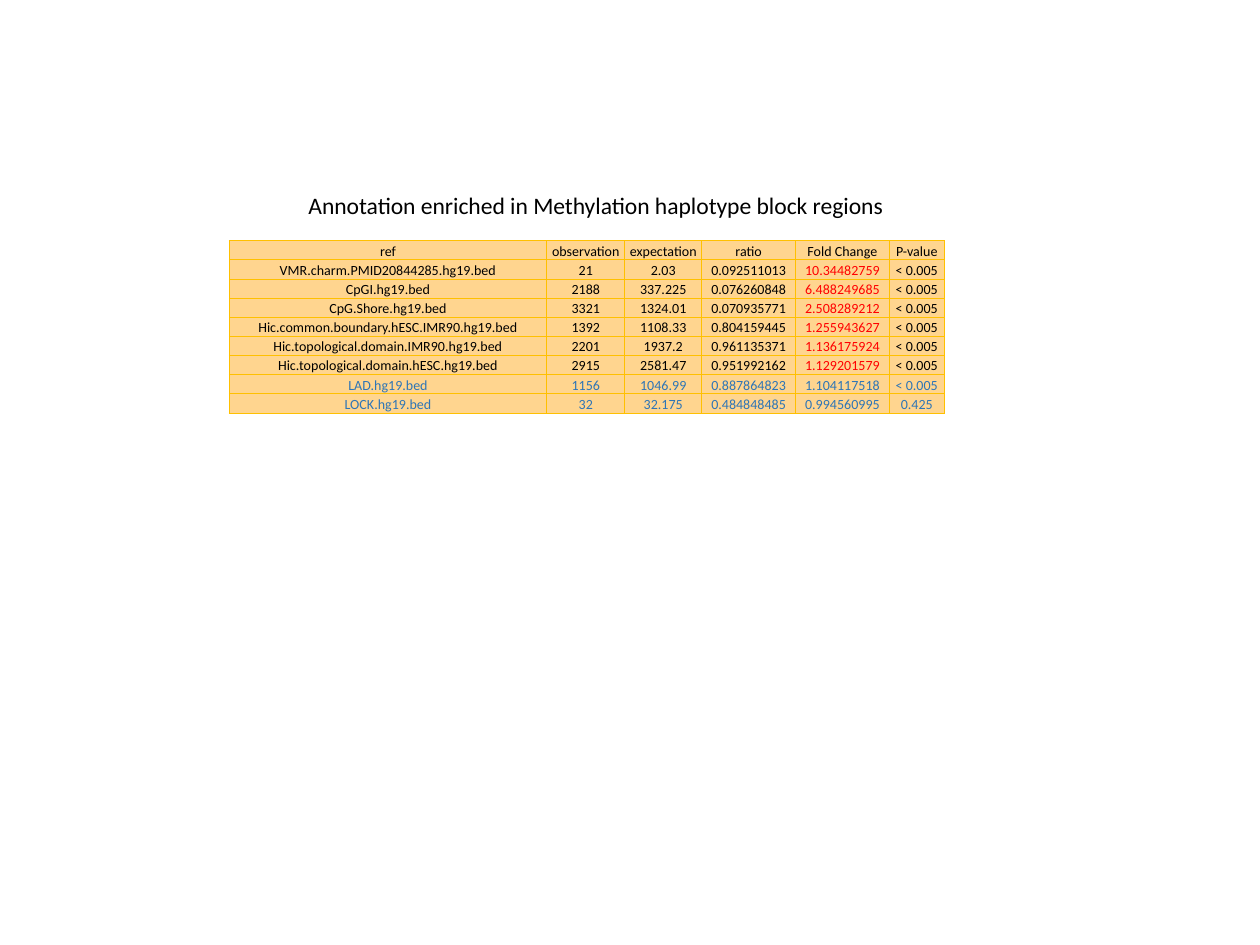
from typing import NamedTuple

from lxml import etree
from pptx import Presentation
from pptx.dml.color import RGBColor
from pptx.enum.text import MSO_ANCHOR, MSO_AUTO_SIZE, PP_ALIGN
from pptx.oxml.ns import qn
from pptx.util import Inches, Pt

BOTTOM = MSO_ANCHOR.BOTTOM
GROW = MSO_AUTO_SIZE.SHAPE_TO_FIT_TEXT
CENTER, LEFT = PP_ALIGN.CENTER, PP_ALIGN.LEFT

WIDE, HIGH = 10, 7.5
FONT = "Calibri"
HUES = {"ink": "000000", "gain": "FF0000", "weak": "2E75B6",
        "fill": "FFD58F", "edge": "FFC000"}


class Box(NamedTuple):
    """A place on the slide, as shares of its width and height."""
    left: float
    top: float
    width: float
    height: float

    def emu(self) -> list[int]:
        return [Inches(part * side)
                for part, side in zip(self, (WIDE, HIGH, WIDE, HIGH))]


class Row(NamedTuple):
    ref: str
    seen: str
    expect: str
    ratio: str
    fold: str
    pval: str = "< 0.005"


TITLE = "Annotation enriched in Methylation haplotype block regions"
TITLE_BOX = Box(0.235, 0.196, 0.484, 0.044)
GRID_BOX = Box(0.182, 0.2547, 0.567, 0.1827)
COLS = (2.52, 0.62, 0.61, 0.745, 0.745, 0.435)
FOLD = Row._fields.index("fold")
HEAD = Row("ref", "observation", "expectation", "ratio", "Fold Change", "P-value")
STRONG = [
    Row("VMR.charm.PMID20844285.hg19.bed", "21", "2.03", "0.092511013", "10.34482759"),
    Row("CpGI.hg19.bed", "2188", "337.225", "0.076260848", "6.488249685"),
    Row("CpG.Shore.hg19.bed", "3321", "1324.01", "0.070935771", "2.508289212"),
    Row("Hic.common.boundary.hESC.IMR90.hg19.bed", "1392", "1108.33",
        "0.804159445", "1.255943627"),
    Row("Hic.topological.domain.IMR90.hg19.bed", "2201", "1937.2",
        "0.961135371", "1.136175924"),
    Row("Hic.topological.domain.hESC.hg19.bed", "2915", "2581.47",
        "0.951992162", "1.129201579"),
]
WEAK = [
    Row("LAD.hg19.bed", "1156", "1046.99", "0.887864823", "1.104117518"),
    Row("LOCK.hg19.bed", "32", "32.175", "0.484848485", "0.994560995", "0.425"),
]
CELL = {"vertical_anchor": BOTTOM, "margin_left": Inches(0.01),
        "margin_top": Inches(0.01), "margin_right": Inches(0.01),
        "margin_bottom": 0}
PLAIN = {"first_row": False, "horz_banding": False}
FRAME = {"word_wrap": False, "auto_size": GROW}


def apply(item: object, style: dict) -> None:
    for name, value in style.items():
        setattr(item, name, value)


def write(frame, text: str, size: float, hue: str, align) -> None:
    para = frame.paragraphs[0]
    para.alignment = align
    run = para.add_run()
    run.text = text
    apply(run.font, {"name": FONT, "size": Pt(size)})
    run.font.color.rgb = RGBColor.from_string(HUES[hue])


def edge(cell, hue: str, width: float) -> None:
    props = cell._tc.get_or_add_tcPr()
    for spot, side in enumerate(("lnL", "lnR", "lnT", "lnB")):
        line = etree.Element(qn(f"a:{side}"), w=str(Pt(width)))
        solid = etree.SubElement(line, qn("a:solidFill"))
        etree.SubElement(solid, qn("a:srgbClr"), val=HUES[hue])
        props.insert(spot, line)


def add_grid(slide, box: Box, rows: list[Row]) -> None:
    table = slide.shapes.add_table(len(rows), len(COLS), *box.emu()).table
    apply(table, PLAIN)
    for col, width in zip(table.columns, COLS):
        col.width = Inches(width)
    for r, row in enumerate(rows):
        for c, text in enumerate(row):
            cell = table.cell(r, c)
            apply(cell, CELL)
            cell.fill.solid()
            cell.fill.fore_color.rgb = RGBColor.from_string(HUES["fill"])
            edge(cell, "edge", 0.5)
            if row in WEAK:
                hue = "weak"
            else:
                hue = "gain" if row in STRONG and c == FOLD else "ink"
            write(cell.text_frame, text, 8, hue, CENTER)


def main() -> None:
    deck = Presentation()
    apply(deck, {"slide_width": Inches(WIDE), "slide_height": Inches(HIGH)})
    slide = deck.slides.add_slide(deck.slide_layouts[6])

    # Enrichment table
    add_grid(slide, GRID_BOX, [HEAD, *STRONG, *WEAK])

    # Title above the table
    frame = slide.shapes.add_textbox(*TITLE_BOX.emu()).text_frame
    apply(frame, FRAME)
    write(frame, TITLE, 13.5, "ink", LEFT)

    deck.save("out.pptx")


if __name__ == "__main__":
    main()
